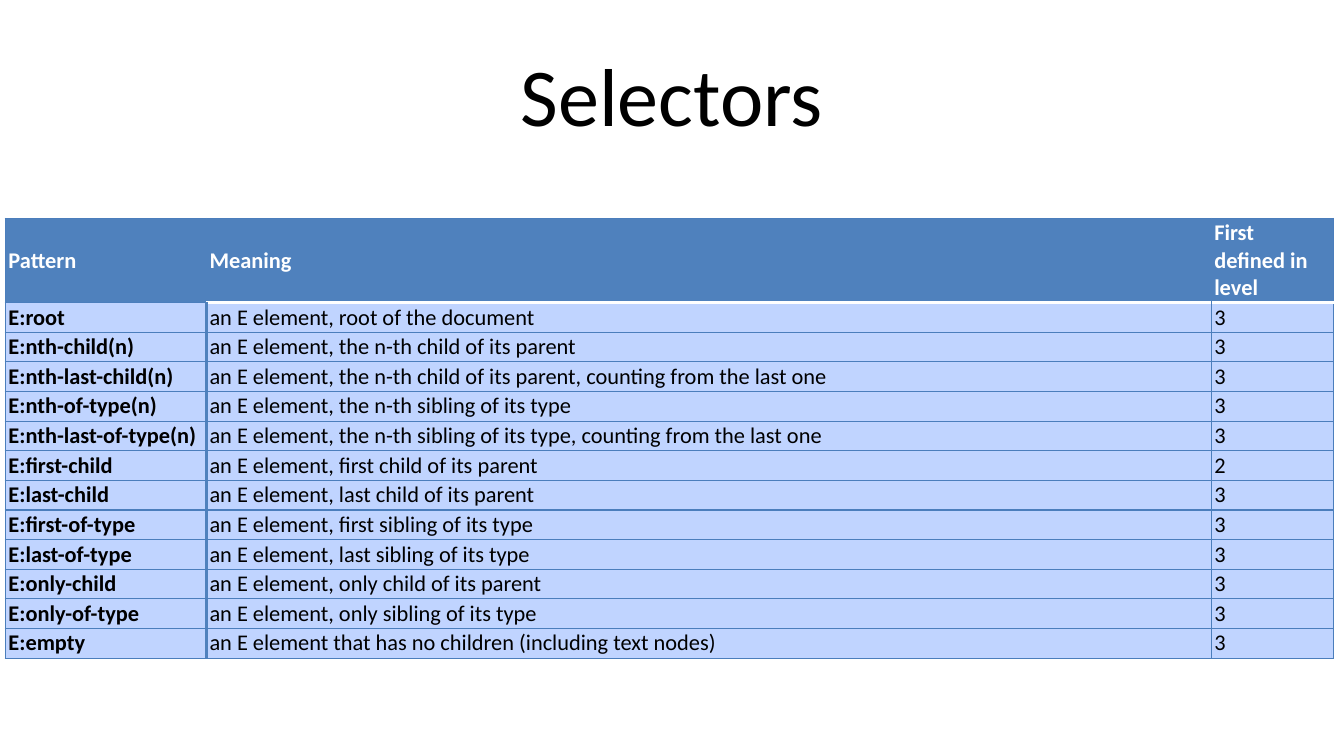
from lxml.etree import SubElement
from pptx import Presentation
from pptx.dml.color import RGBColor as RGB
from pptx.enum.text import MSO_ANCHOR as Anchor, PP_ALIGN as Align
from pptx.oxml.ns import qn
from pptx.util import Cm, Pt

COLORS = {"header": "4F81BD", "body": "C0D4FF", "grid": "4B7EBC",
          "white": "FFFFFF", "black": "000000"}
FONT = "Calibri"
THIN, THICK = 0.75, 2
COLUMN_WIDTHS = (3.8, 18.99, 2.31)
HEADER_HEIGHT, ROW_HEIGHT = 1.59, 0.56
HEADERS = ("Pattern", "Meaning", "First defined in level")
SELECTORS = (
    ("E:root", "an E element, root of the document", "3"),
    ("E:nth-child(n)", "an E element, the n-th child of its parent", "3"),
    ("E:nth-last-child(n)",
     "an E element, the n-th child of its parent, counting from the last one", "3"),
    ("E:nth-of-type(n)", "an E element, the n-th sibling of its type", "3"),
    ("E:nth-last-of-type(n)",
     "an E element, the n-th sibling of its type, counting from the last one", "3"),
    ("E:first-child", "an E element, first child of its parent", "2"),
    ("E:last-child", "an E element, last child of its parent", "3"),
    ("E:first-of-type", "an E element, first sibling of its type", "3"),
    ("E:last-of-type", "an E element, last sibling of its type", "3"),
    ("E:only-child", "an E element, only child of its parent", "3"),
    ("E:only-of-type", "an E element, only sibling of its type", "3"),
    ("E:empty", "an E element that has no children (including text nodes)", "3"),
)


def set_attributes(target, values):
    for name, value in values.items():
        setattr(target, name, value)


def format_font(font, size, color, bold=False):
    set_attributes(font, {"name": FONT, "size": Pt(size), "bold": bold})
    font.color.rgb = RGB.from_string(COLORS[color])


def set_borders(cell, borders):
    properties = cell._tc.get_or_add_tcPr()
    for position, side in enumerate("LRTB"):
        color, width = borders[side]
        line = SubElement(properties, qn(f"a:ln{side}"), w=str(Pt(width)))
        fill = SubElement(line, qn("a:solidFill"))
        SubElement(fill, qn("a:srgbClr"), val=COLORS[color])
        properties.insert(position, line)


def borders_for(row, column):
    grid, divider, rule = ("grid", THIN), ("header", THICK), ("white", THICK)
    if row == 0:
        inner = ("header", THIN)
        return {"L": grid if column == 0 else inner,
                "R": grid if column == 2 else inner,
                "T": grid,
                "B": grid if column == 0 else rule}
    return {"L": divider if column == 1 else grid,
            "R": divider if column == 0 else grid,
            "T": rule if row == 1 and column > 0 else grid,
            "B": grid}


def fill_cell(cell, text, row, column):
    header = row == 0
    set_attributes(cell, {
        "text": text, "vertical_anchor": Anchor.MIDDLE,
        "margin_left": Cm(0.06), "margin_right": Cm(0.15 if header else 0.05),
        "margin_top": Cm(0.02), "margin_bottom": Cm(0.02)})
    cell.fill.solid()
    cell.fill.fore_color.rgb = RGB.from_string(COLORS["header" if header else "body"])
    format_font(cell.text_frame.paragraphs[0].runs[0].font, 12,
                "white" if header else "black", header or column == 0)
    set_borders(cell, borders_for(row, column))


def add_selector_table(slide, left, top):
    rows = (HEADERS,) + SELECTORS
    height = HEADER_HEIGHT + ROW_HEIGHT * len(SELECTORS)
    table = slide.shapes.add_table(len(rows), len(HEADERS), Cm(left), Cm(top),
                                   Cm(sum(COLUMN_WIDTHS)), Cm(height)).table
    table.horz_banding = False
    for column, width in zip(table.columns, COLUMN_WIDTHS):
        column.width = Cm(width)
    for row, texts in enumerate(rows):
        table.rows[row].height = Cm(ROW_HEIGHT if row else HEADER_HEIGHT)
        for column, text in enumerate(texts):
            fill_cell(table.cell(row, column), text, row, column)


def place_title(slide, text, left, top, width, height):
    title = slide.shapes.title
    set_attributes(title, {"left": Cm(left), "top": Cm(top),
                           "width": Cm(width), "height": Cm(height)})
    frame = title.text_frame
    set_attributes(frame, {"text": text, "word_wrap": True,
                           "vertical_anchor": Anchor.MIDDLE})
    paragraph = frame.paragraphs[0]
    paragraph.alignment = Align.CENTER
    format_font(paragraph.runs[0].font, 44, "black")


def build_selectors_slide(presentation):
    slide = presentation.slides.add_slide(presentation.slide_layouts[5])
    add_selector_table(slide, 0.1, 4.13)
    place_title(slide, "Selectors", 1.27, 0.58, 22.86, 2.38)


presentation = Presentation()
set_attributes(presentation, {"slide_width": Cm(25.4), "slide_height": Cm(14.29)})
build_selectors_slide(presentation)
presentation.save("out.pptx")
